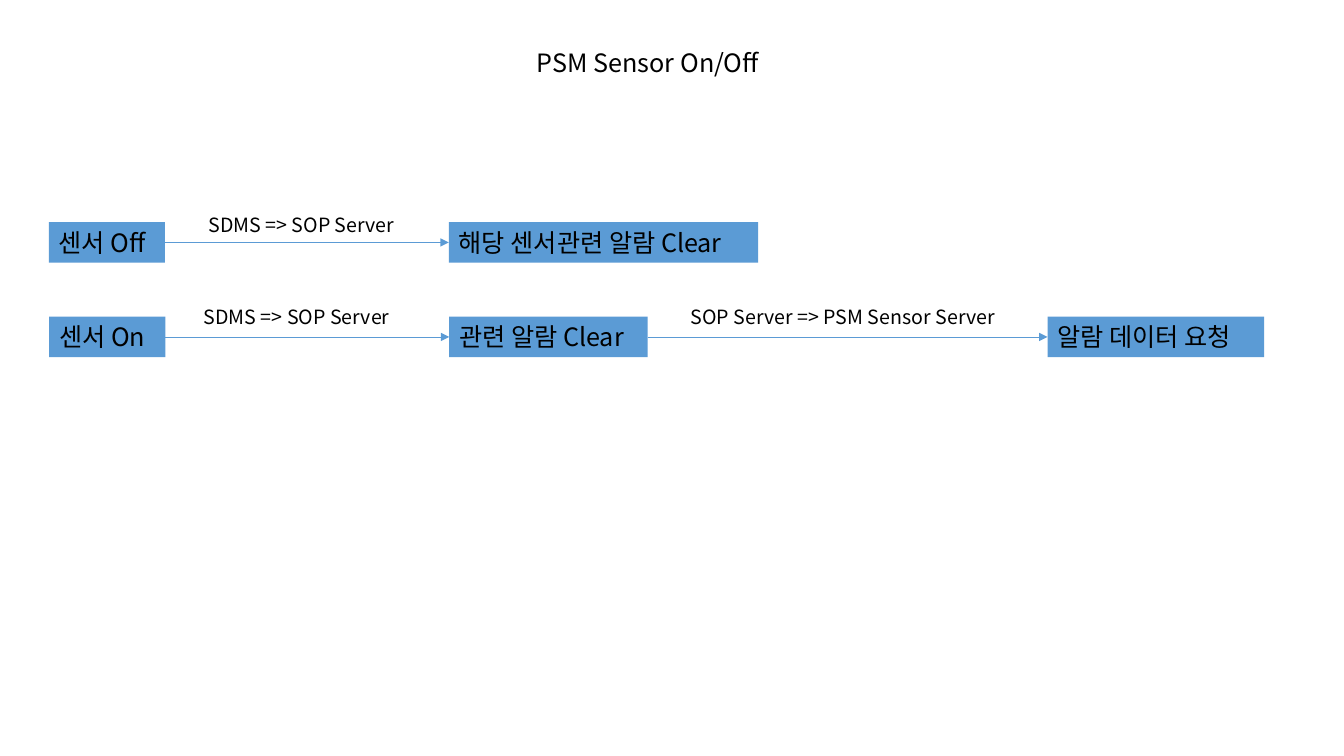
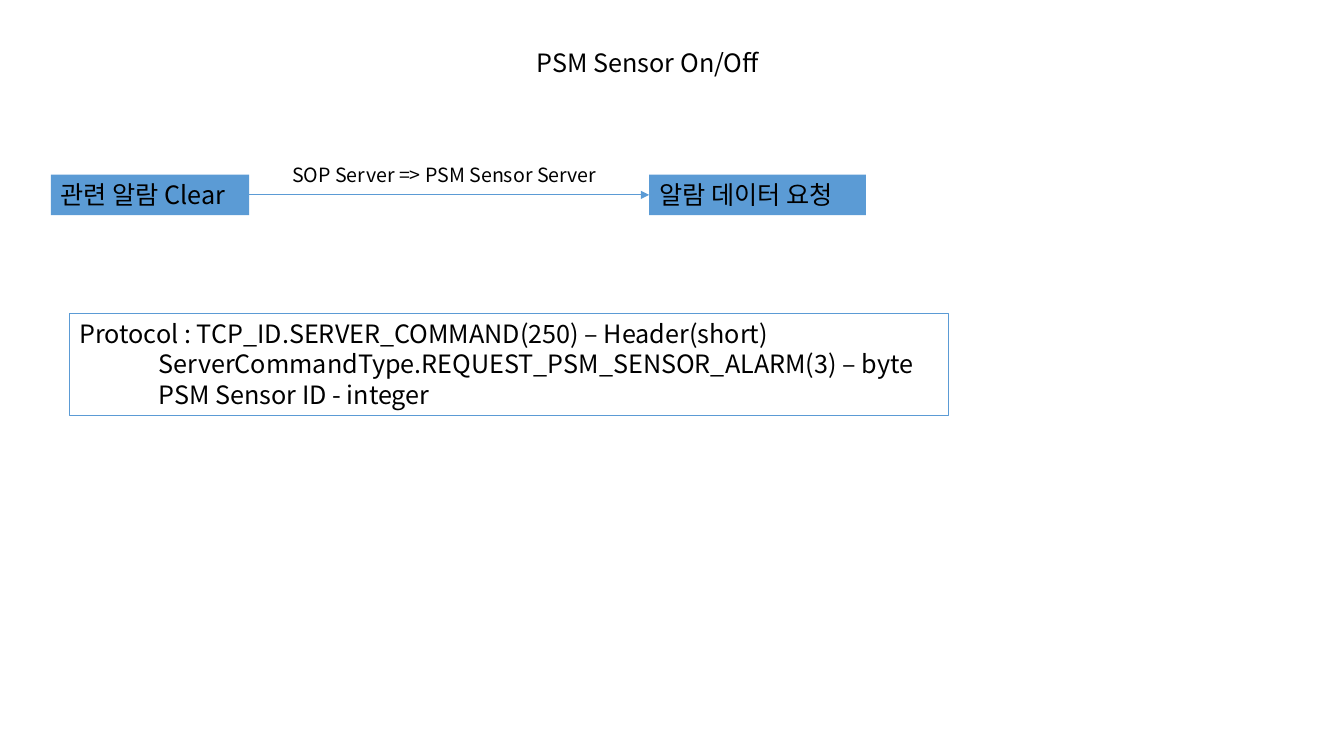
from lxml import etree
from pptx import Presentation
from pptx.dml.color import RGBColor
from pptx.enum.shapes import MSO_CONNECTOR, MSO_SHAPE
from pptx.enum.text import MSO_ANCHOR, PP_ALIGN
from pptx.oxml.ns import qn
from pptx.util import Cm, Pt

BLUE = RGBColor(0x5B, 0x9B, 0xD5)
BLACK = RGBColor(0, 0, 0)
FONT = "Noto Sans CJK KR"
RECT = MSO_SHAPE.RECTANGLE
LINE = MSO_CONNECTOR.STRAIGHT
LEFT = PP_ALIGN.LEFT
TOP = MSO_ANCHOR.TOP
HIGH = 1.02
WIDE = 10.08
SENSOR = ("SDMS => SOP Server", 5.46)
SERVER = ("SOP Server => PSM Sensor Server", 8.41)
CLEAR = ("관련 알람 Clear", 5)
ASK = ("알람 데이터 요청", 5.46)


def write(shape, *lines, size=18, indent=0):
    """Fill a shape with lines, indenting all but the first."""
    frame = shape.text_frame
    frame.word_wrap = True
    frame.vertical_anchor = TOP
    frame.margin_right = 0
    for i, line in enumerate(lines):
        para = frame.paragraphs[0] if i == 0 else frame.add_paragraph()
        para.alignment = LEFT
        if i and indent:
            para._p.get_or_add_pPr().set("marL", str(Cm(indent)))
        run = para.add_run()
        run.text = line
        run.font.size = Pt(size)
        run.font.name = FONT
        run.font.color.rgb = BLACK
        east = etree.SubElement(run._r.get_or_add_rPr(), qn("a:ea"))
        east.set("typeface", FONT)


def label(slide, text, x, y, w, h, size=18):
    """Add a plain line of text."""
    write(slide.shapes.add_textbox(Cm(x), Cm(y), Cm(w), Cm(h)), text, size=size)


def block(slide, x, y, w, h, *lines, filled=True, indent=0):
    """Add a filled or outlined rectangle with text."""
    box = slide.shapes.add_shape(RECT, Cm(x), Cm(y), Cm(w), Cm(h))
    box.shadow.inherit = False
    if filled:
        box.fill.solid()
        box.fill.fore_color.rgb = BLUE
        box.line.fill.background()
    else:
        box.fill.background()
        box.line.color.rgb = BLUE
        box.line.width = Pt(0.75)
    write(box, *lines, indent=indent)
    return box


def arrow(slide, start, end):
    """Join the facing sides of two boxes with an arrow."""
    link = slide.shapes.add_connector(LINE, 0, 0, 0, 0)
    link.begin_connect(start, 3)
    link.end_connect(end, 1)
    link.line.color.rgb = BLUE
    link.line.width = Pt(0.5)
    head = etree.SubElement(link.line._get_or_add_ln(), qn("a:tailEnd"))
    head.set("type", "triangle")
    etree.SubElement(link._element.spPr, qn("a:effectLst"))


def flow(slide, x, y, nodes, links, rise=0.41):
    """Lay boxes in a row, joined by labelled arrows."""
    last = None
    for i, (text, width) in enumerate(nodes):
        if i:
            (name, span), gap, shift = links[i - 1]
            label(slide, name, x + (gap - span) / 2 + shift, y - rise,
                  span, 0.86, size=14)
            x += gap
        box = block(slide, x, y, width, HIGH, text)
        if last is not None:
            arrow(slide, last, box)
        last = box
        x += width


def page(deck):
    """Add a blank slide with the shared title."""
    slide = deck.slides.add_slide(deck.slide_layouts[6])
    label(slide, "PSM Sensor On/Off", 13.28, 1.07, 6.22, HIGH)
    return slide


def switch(deck):
    """Build the slide with the off and on flows."""
    slide = page(deck)
    flow(slide, 1.23, 5.6,
         [("센서 Off", 2.93), ("해당 센서관련 알람 Clear", 7.8)],
         [(SENSOR, 7.15, 0)], rise=0.35)
    flow(slide, 1.24, 7.98, [("센서 On", 2.93), CLEAR, ASK],
         [(SENSOR, 7.15, -0.13), (SERVER, WIDE, 0)])


def request(deck):
    """Build the slide with the alarm request and its protocol."""
    slide = page(deck)
    flow(slide, 1.28, 4.4, [CLEAR, ASK], [(SERVER, WIDE, 0)])
    block(slide, 1.75, 7.9, 22.15, 2.57,
          "Protocol : TCP_ID.SERVER_COMMAND(250) – Header(short)",
          "ServerCommandType.REQUEST_PSM_SENSOR_ALARM(3) – byte",
          "PSM Sensor ID - integer", filled=False, indent=2)


def main():
    """Build and save the deck."""
    deck = Presentation()
    deck.slide_width = Cm(33.87)
    deck.slide_height = Cm(19.05)
    switch(deck)
    request(deck)
    deck.save("out.pptx")


if __name__ == "__main__":
    main()
